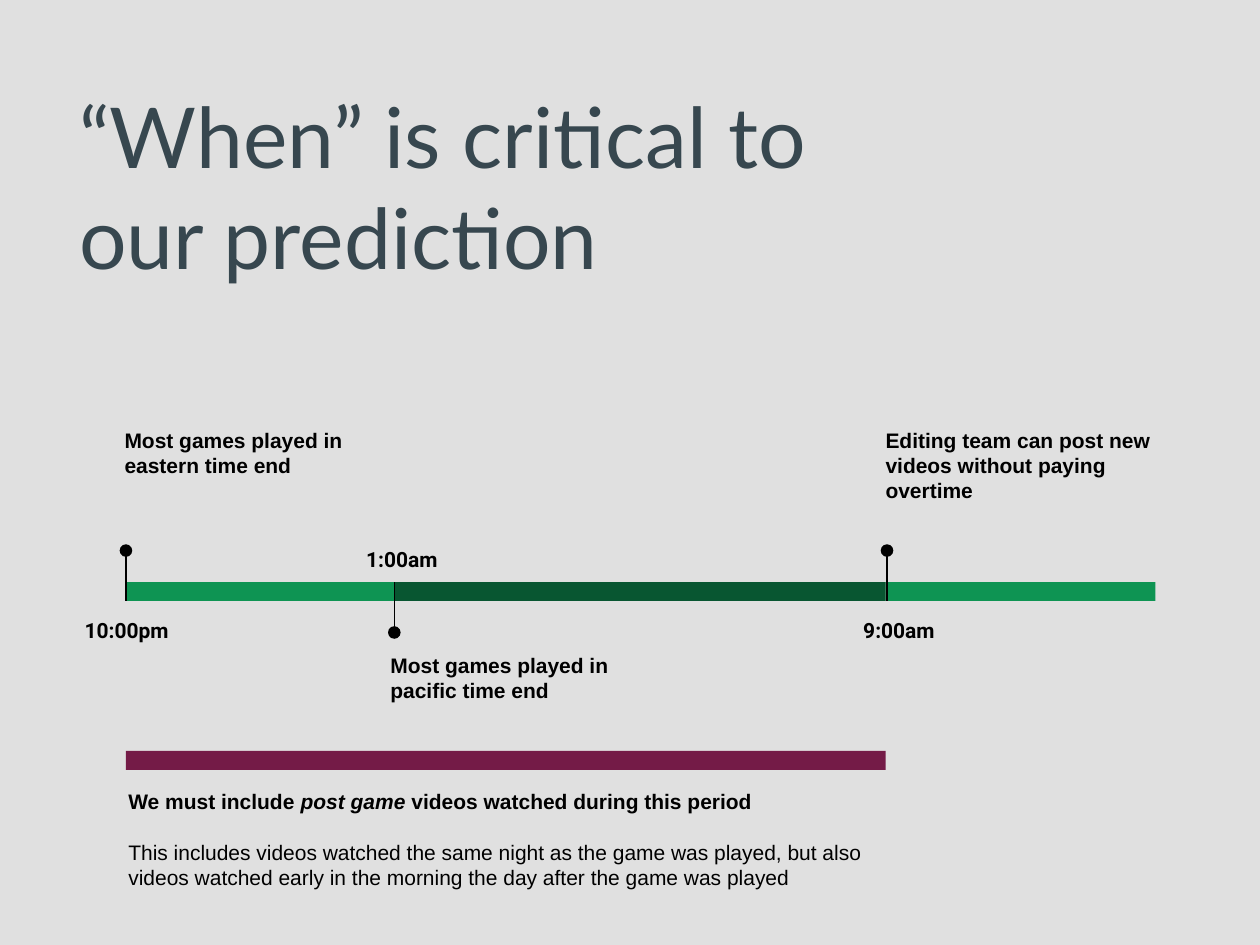
from dataclasses import dataclass
from pptx import Presentation as Deck
from pptx.dml.color import RGBColor as Color
from pptx.enum.shapes import MSO_CONNECTOR as Link, MSO_SHAPE as Shape
from pptx.enum.text import MSO_ANCHOR as Anchor, PP_ALIGN as Align
from pptx.oxml.ns import qn
from pptx.util import Inches, Pt
from lxml.etree import SubElement as sub


@dataclass(frozen=True)
class Theme:
    back: str = "E0E0E0"
    slate: str = "37474F"
    ink: str = "000000"
    green: str = "0E9453"
    dark: str = "085631"
    plum: str = "741B47"
    head: int = 48
    body: int = 12
    rule: float = 0.75


class Page:
    def __init__(self, slide, theme):
        self.slide, self.theme = slide, theme
        self.shapes = slide.shapes
        fill = slide.background.fill
        fill.solid()
        fill.fore_color.rgb = Color.from_string(theme.back)

    def group(self):
        self.shapes = self.slide.shapes.add_group_shape().shapes

    def leave(self):
        self.shapes = self.slide.shapes

    def form(self, kind, box, color):
        shape = self.shapes.add_shape(kind, *map(Inches, box))
        shape.shadow.inherit = False
        shape.fill.solid()
        shape.fill.fore_color.rgb = Color.from_string(color)
        shape.line.fill.background()

    def bar(self, left, top, width, color):
        self.form(Shape.RECTANGLE, (left, top, width, 0.15), color)

    def pin(self, x, dot, end):
        line = self.shapes.add_connector(
            Link.STRAIGHT, *map(Inches, (x, dot, x, end)))
        line.line.width = Pt(self.theme.rule)
        line.line.color.rgb = Color.from_string(self.theme.ink)
        sub(line._element.spPr, qn("a:effectLst"))
        self.form(Shape.OVAL, (x - 0.05, dot - 0.05, 0.1, 0.1), self.theme.ink)

    def text(self, box, paras, font=None, para=None, anchor=Anchor.TOP):
        frame = self.shapes.add_textbox(*map(Inches, box)).text_frame
        look = {"word_wrap": True, "vertical_anchor": anchor}
        look |= {f"margin_{side}": Inches(0.1)
                 for side in ("left", "right", "top", "bottom")}
        self.apply(frame, look)
        base = {"name": "Arial", "size": Pt(self.theme.body), "bold": True}
        for i, runs in enumerate(paras):
            item = frame.add_paragraph() if i else frame.paragraphs[0]
            self.apply(item, para or {})
            if i:
                item.space_before = Pt(self.theme.body * 1.2)
            for words, style in runs:
                run = item.add_run()
                run.text = words
                look = base | (font or {}) | style
                tint = look.pop("color", self.theme.ink)
                self.apply(run.font, look)
                run.font.color.rgb = Color.from_string(tint)

    def title(self, box, words):
        look = {"name": "Lato", "size": Pt(self.theme.head),
                "bold": False, "color": self.theme.slate}
        self.text(box, [[(words, {})]], look, anchor=Anchor.MIDDLE)

    def time(self, box, words):
        para = {"alignment": Align.CENTER, "line_spacing": 1.15,
                "space_after": Pt(16)}
        self.text(box, [[(words, {})]], {"name": "Roboto"}, para)

    def event(self, x, dot, end, bar, time, note):
        self.group()
        self.bar(*bar)
        self.pin(x, dot, end)
        self.time(*time)
        self.text(note[0], [[(note[1], {})]])
        self.leave()

    @staticmethod
    def apply(item, look):
        for key, value in look.items():
            setattr(item, key, value)


def main():
    deck = Deck()
    deck.slide_width, deck.slide_height = Inches(10), Inches(7.5)
    theme = Theme()
    page = Page(deck.slides.add_slide(deck.slide_layouts[6]), theme)

    page.title((0.53, 0.27, 6.81, 2.4), "“When” is critical to our prediction")

    track, high, low = 4.62, 4.37, 5.02
    base = track + 0.15
    events = [
        (7.04, high, base, (7.03, track, 2.14, theme.green),
         ((6.68, base, 0.91, 0.41), "9:00am"),
         ((6.93, 3.29, 2.46, 1.03),
          "Editing team can post new videos without paying overtime")),
        (1, high, base, (1.01, track, 2.14, theme.green),
         ((0.53, base, 0.95, 0.41), "10:00pm"),
         ((0.89, 3.29, 2.46, 1.03), "Most games played in eastern time end")),
        (3.13, low, track, (3.13, track, 3.9, theme.dark),
         ((2.73, 4.21, 0.92, 0.41), "1:00am"),
         ((3, 5.08, 2.46, 1.03), "Most games played in pacific time end")),
    ]
    for event in events:
        page.event(*event)

    page.bar(1, 5.96, 6.03, theme.plum)
    page.text((0.92, 6.16, 6.11, 1.03), [
        [("We must include ", {}), ("post game ", {"italic": True}),
         ("videos watched during this period", {})],
        [("This includes videos watched the same night as the game was played, "
          "but also videos watched early in the morning the day after the game "
          "was played", {"bold": False})],
    ])
    deck.save("out.pptx")


if __name__ == "__main__":
    main()
